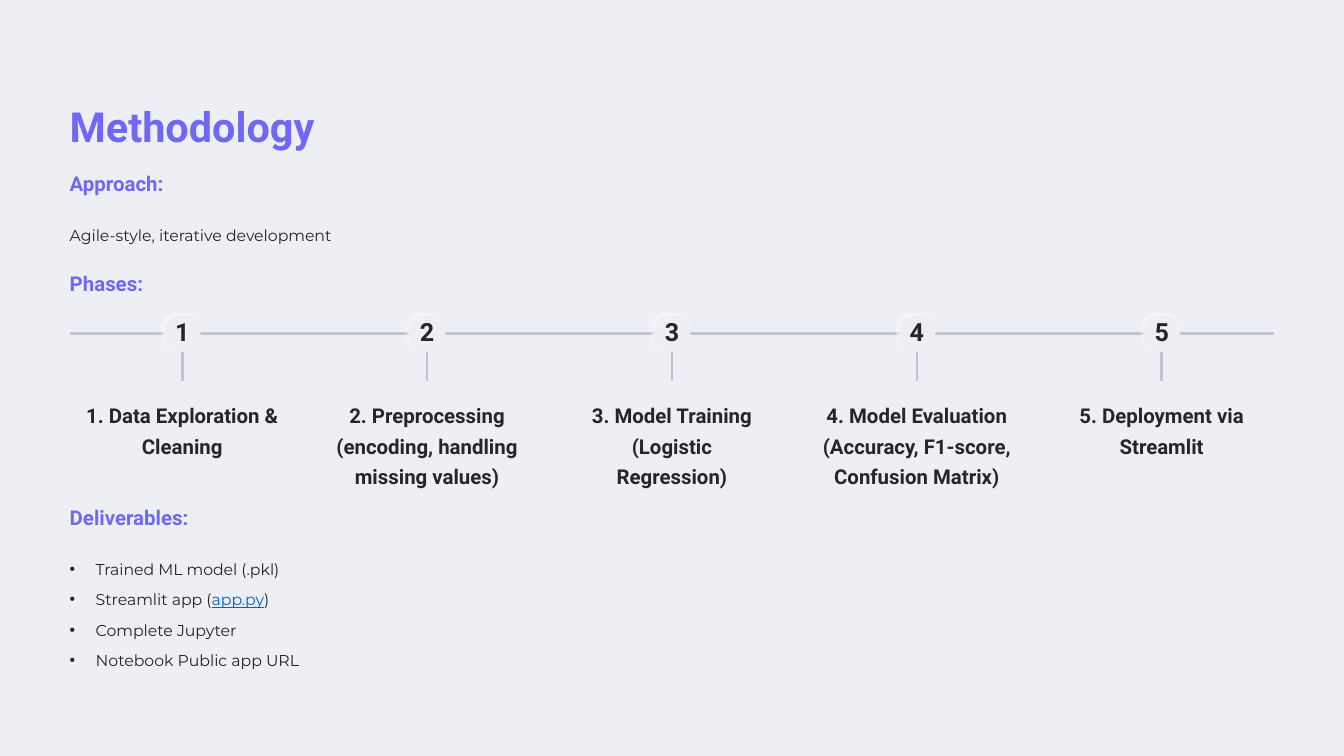
"""Build the Methodology slide: approach, five numbered phases and deliverables."""
from lxml.etree import SubElement
from pptx import Presentation
from pptx.dml.color import RGBColor
from pptx.enum.shapes import MSO_CONNECTOR as LINE, MSO_SHAPE as SHAPE
from pptx.enum.text import MSO_ANCHOR as ANCHOR, MSO_AUTO_SIZE as FIT, PP_ALIGN as ALIGN
from pptx.oxml.ns import qn
from pptx.util import Inches, Pt

VIOLET = RGBColor(0x70, 0x68, 0xF4)
INK = RGBColor(0x27, 0x25, 0x25)
RULE = RGBColor(0xC1, 0xC3, 0xD0)
PAPER = RGBColor(0xEE, 0xEF, 0xF5)
LINK = RGBColor(0x05, 0x63, 0xC1)

TITLE = "Methodology"
HEADINGS = [("Approach:", 1.96), ("Phases:", 3.15), ("Deliverables:", 5.94)]
APPROACH = "Agile-style, iterative development"
PHASES = [
    "1. Data Exploration & Cleaning",
    "2. Preprocessing (encoding, handling missing values)",
    "3. Model Training (Logistic Regression)",
    "4. Model Evaluation (Accuracy, F1-score, Confusion Matrix)",
    "5. Deployment via Streamlit",
]
DELIVERABLES = [
    ["Trained ML model (.pkl)"],
    ["Streamlit app (", "app.py", ")"],
    ["Complete Jupyter"],
    ["Notebook Public app URL"],
]

WIDTH, HEIGHT = 16, 9
MARGIN = 0.83
CONTENT_W = WIDTH - 2 * MARGIN
PHASE_STEP, PHASE_W = 2.915, 2.3
RAIL_Y, STEM_END = 3.97, 4.53
BADGE = 0.43
RULE_PT = 2.16
HEADING = dict(size=17.5, spacing=1.26, color=VIOLET)
PHASE = dict(size=17.5, spacing=1.26, color=INK, align=ALIGN.CENTER)
NUMBER = dict(size=21.5, spacing=1, color=INK, align=ALIGN.CENTER)
BODY = dict(size=13.5, spacing=1.59, color=INK, font="Montserrat", bold=False)


def place(box, left, top, width, height):
    box.left, box.top = Inches(left), Inches(top)
    box.width, box.height = Inches(width), Inches(height)
    frame = box.text_frame
    frame.word_wrap = True
    frame.auto_size = FIT.NONE
    frame.vertical_anchor = ANCHOR.TOP
    frame.margin_left = frame.margin_right = frame.margin_top = frame.margin_bottom = 0
    return frame


def write(paragraph, pieces, size, spacing, color, font="Roboto", bold=True, align=ALIGN.LEFT):
    paragraph.alignment = align
    paragraph.line_spacing = spacing
    paragraph.space_before = Pt(0)
    for piece in pieces:
        run = paragraph.add_run()
        run.text = piece
        run.font.name, run.font.size, run.font.bold = font, Pt(size), bold
        run.font.color.rgb = color
        if piece == "app.py":
            run.font.color.rgb = LINK
            run.font.underline = True


def add_text(slide, text, left, top, width, height, **style):
    frame = place(slide.shapes.add_textbox(0, 0, 0, 0), left, top, width, height)
    write(frame.paragraphs[0], [text], **style)


def add_rule(slide, x1, y1, x2, y2):
    rule = slide.shapes.add_connector(LINE.STRAIGHT, *map(Inches, (x1, y1, x2, y2)))
    rule.line.color.rgb = RULE
    rule.line.width = Pt(RULE_PT)
    SubElement(rule._element.spPr, qn("a:effectLst"))
    return rule


def add_badge(slide, center):
    badge = slide.shapes.add_shape(
        SHAPE.ROUNDED_RECTANGLE, Inches(center - BADGE / 2), Inches(RAIL_Y - BADGE / 2),
        Inches(BADGE), Inches(BADGE))
    badge.adjustments[0] = 0.4
    badge.fill.solid()
    badge.fill.fore_color.rgb = PAPER
    badge.line.fill.background()
    badge.shadow.inherit = False
    effects = badge._element.spPr.find(qn("a:effectLst"))
    glow = SubElement(effects, qn("a:outerShdw"), blurRad=str(Pt(3.4)), dist=str(Pt(1.7)),
                      dir=str(225 * 60000), algn="ctr", rotWithShape="0")
    white = SubElement(glow, qn("a:srgbClr"), val="FFFFFF")
    SubElement(white, qn("a:alpha"), val="70000")
    return badge


def add_bullet(paragraph):
    props = paragraph._p.get_or_add_pPr()
    props.set("marL", str(Inches(0.31)))
    props.set("indent", str(-Inches(0.31)))
    SubElement(SubElement(props, qn("a:buClr")), qn("a:srgbClr"), val=str(INK))
    SubElement(props, qn("a:buFont"), typeface="Arial")
    SubElement(props, qn("a:buChar"), char="•")


def add_phase(slide, index, phase):
    center = WIDTH / 2 + (index - (len(PHASES) - 1) / 2) * PHASE_STEP
    badge = add_badge(slide, center)
    stem = add_rule(slide, center, RAIL_Y + BADGE / 2, center, STEM_END)
    stem.begin_connect(badge, 2)
    add_text(slide, str(index + 1), center - 0.15, 3.77, 0.3, 0.37, **NUMBER)
    add_text(slide, phase, center - PHASE_W / 2, 4.72, PHASE_W, 0.94, **PHASE)


def main():
    deck = Presentation()
    deck.slide_width, deck.slide_height = Inches(WIDTH), Inches(HEIGHT)
    slide = deck.slides.add_slide(deck.slide_layouts[1])
    slide.background.fill.solid()
    slide.background.fill.fore_color.rgb = PAPER

    title = place(slide.shapes.title, MARGIN, 1.06, 4.99, 0.62)
    write(title.paragraphs[0], [TITLE], size=35.5, spacing=1.25, color=VIOLET)
    for heading, top in HEADINGS:
        add_text(slide, heading, MARGIN, top, 2.49, 0.31, **HEADING)
    add_text(slide, APPROACH, MARGIN, 2.56, CONTENT_W, 0.3, **BODY)

    add_rule(slide, MARGIN, RAIL_Y, WIDTH - MARGIN, RAIL_Y)
    for index, phase in enumerate(PHASES):
        add_phase(slide, index, phase)

    deliverables = place(slide.placeholders[1], MARGIN, 6.53, CONTENT_W, 1.41)
    for index, pieces in enumerate(DELIVERABLES):
        item = deliverables.add_paragraph() if index else deliverables.paragraphs[0]
        add_bullet(item)
        write(item, pieces, **BODY)
        if index:
            item.space_before = Pt(0.4)

    deck.save("out.pptx")


if __name__ == "__main__":
    main()
